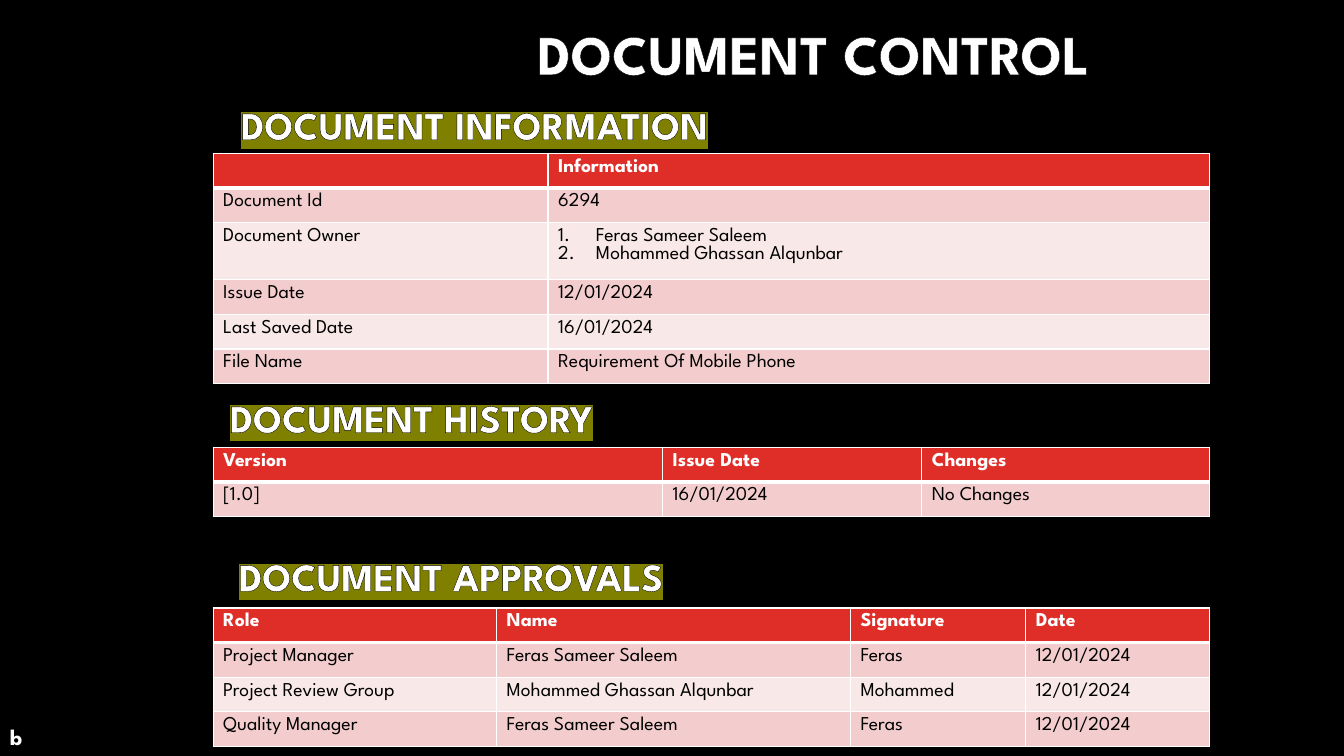
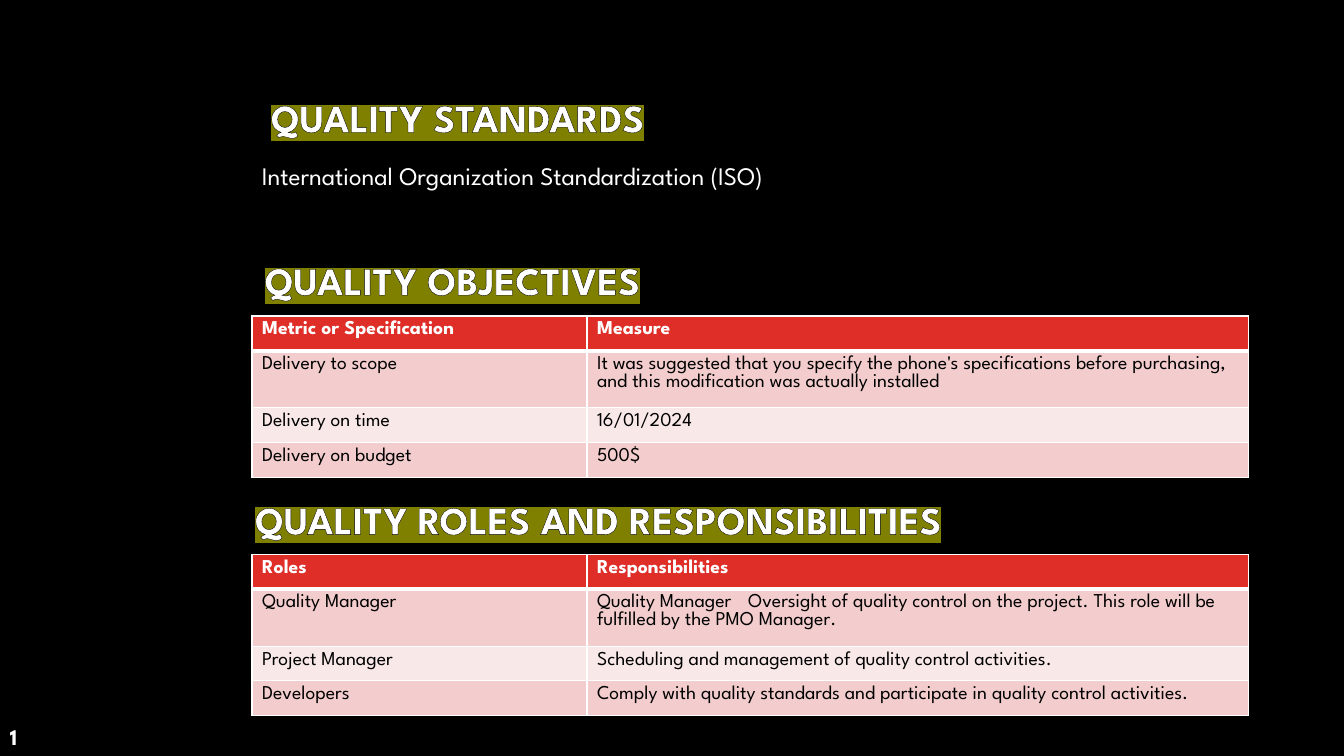
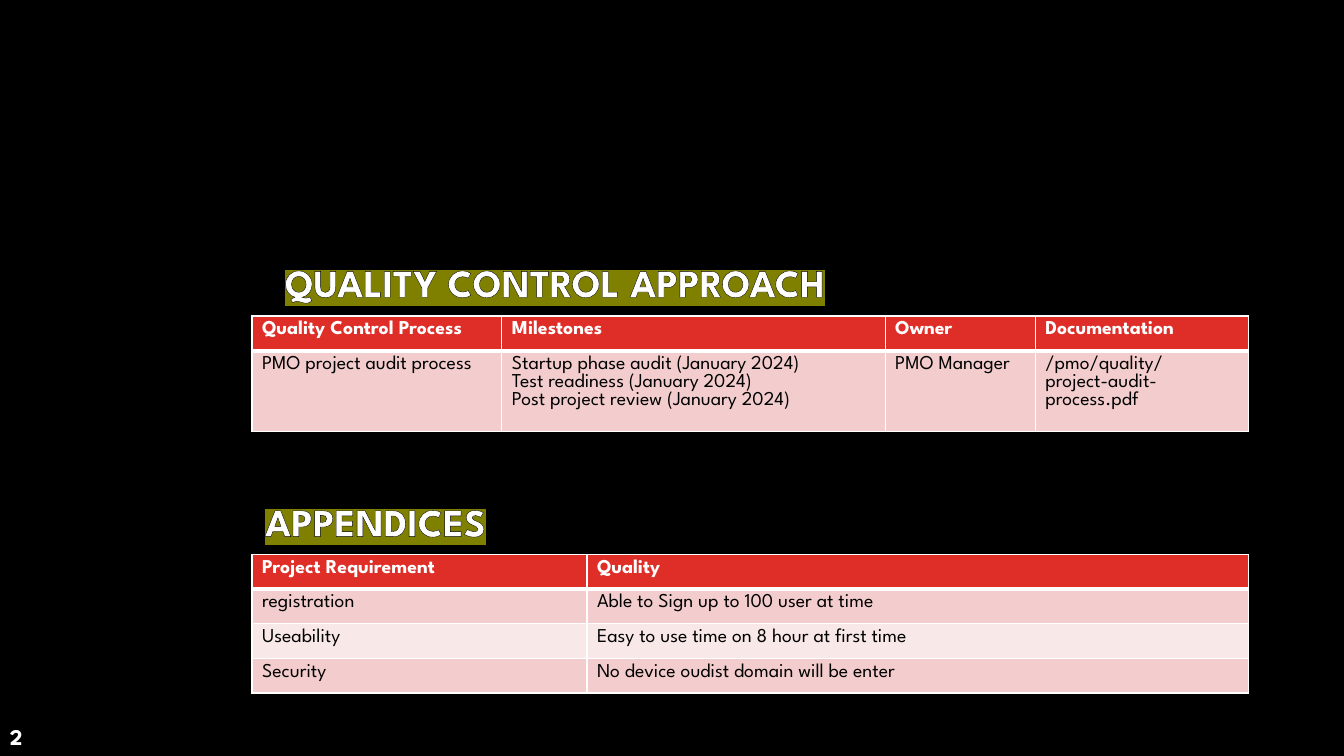
"""Build three document control and quality plan slides."""
import lxml.etree
import pptx
import pptx.dml.color
import pptx.enum.text
import pptx.oxml.ns
import pptx.util

PX = 9525
FONT = "League Spartan"
BLACK = pptx.dml.color.RGBColor(0x00, 0x00, 0x00)
WHITE = pptx.dml.color.RGBColor(0xFF, 0xFF, 0xFF)
OLIVE = pptx.dml.color.RGBColor(0x80, 0x80, 0x00)
RED = pptx.dml.color.RGBColor(0xDF, 0x2E, 0x28)
BANDS = [
    pptx.dml.color.RGBColor(0xF9, 0xE8, 0xE8),
    pptx.dml.color.RGBColor(0xF3, 0xCD, 0xCD),
]
ALIGN = pptx.enum.text.PP_ALIGN
ANCHOR = pptx.enum.text.MSO_ANCHOR
qn = pptx.oxml.ns.qn

HEADING_H = 84
ROW_H = 33
LIST_INDENT = 36
TWO_COLS = [319, 630]

SLIDES = [
    {
        "number": "b",
        "title": ("DOCUMENT CONTROL", 59, 12, 988),
        "headings": [
            ("DOCUMENT INFORMATION", 172, 79, 512),
            ("DOCUMENT HISTORY", 188, 358, 386),
            ("DOCUMENT APPROVALS", 184, 509, 457),
        ],
        "tables": [
            {"at": (203, 146), "cols": TWO_COLS, "tall": {2: 44}, "numbered": (2, 1), "rows": [
                ("", "Information"),
                ("Document Id", "6294"),
                ("Document Owner", "Feras Sameer Saleem\nMohammed Ghassan Alqunbar"),
                ("Issue Date", "12/01/2024"),
                ("Last Saved Date", "16/01/2024"),
                ("File Name", "Requirement Of Mobile Phone"),
            ]},
            {"at": (203, 426), "cols": [428, 247, 274], "rows": [
                ("Version", "Issue Date", "Changes"),
                ("[1.0]", "16/01/2024", "No Changes"),
            ]},
            {"at": (203, 579), "cols": [270, 337, 167, 175], "rows": [
                ("Role", "Name", "Signature", "Date"),
                ("Project Manager", "Feras Sameer Saleem", "Feras", "12/01/2024"),
                ("Project Review Group", "Mohammed Ghassan Alqunbar", "Mohammed", "12/01/2024"),
                ("Quality Manager", "Feras Sameer Saleem", "Feras", "12/01/2024"),
            ]},
        ],
    },
    {
        "number": "1",
        "headings": [
            ("QUALITY STANDARDS", 111, 72, 512),
            ("QUALITY OBJECTIVES", 107, 227, 512),
            ("QUALITY ROLES AND RESPONSIBILITIES", 192, 455, 714),
        ],
        "body": ("International Organization Standardization (ISO)", 240, 148, 786),
        "tables": [
            {"at": (240, 301), "cols": TWO_COLS, "tall": {1: 54}, "rows": [
                ("Metric or Specification", "Measure"),
                ("Delivery to scope", "It was suggested that you specify the phone's specifications before "
                 "purchasing, and this modification was actually installed"),
                ("Delivery on time", "16/01/2024"),
                ("Delivery on budget", "500$"),
            ]},
            {"at": (240, 528), "cols": TWO_COLS, "tall": {1: 54}, "rows": [
                ("Roles", "Responsibilities"),
                ("Quality Manager", "Quality Manager\tOversight of quality control on the project. "
                 "This role will be fulfilled by the PMO Manager."),
                ("Project Manager", "Scheduling and management of quality control activities."),
                ("Developers", "Comply with quality standards and participate in quality control activities."),
            ]},
        ],
    },
    {
        "number": "2",
        "headings": [
            ("QUALITY CONTROL APPROACH", 100, 229, 695),
            ("APPENDICES", 100, 457, 372),
        ],
        "tables": [
            {"at": (240, 301), "cols": [238, 365, 143, 203], "tall": {1: 62}, "rows": [
                ("Quality Control Process", "Milestones", "Owner", "Documentation"),
                ("PMO project audit process",
                 "Startup phase audit (January 2024)\nTest readiness (January 2024)\n"
                 "Post project review (January 2024)",
                 "PMO Manager", "/pmo/quality/\nproject-audit-process.pdf"),
            ]},
            {"at": (240, 528), "cols": TWO_COLS, "rows": [
                ("Project Requirement", "Quality"),
                ("registration", "Able to Sign up to 100 user at time"),
                ("Useability", "Easy to use time on 8 hour at first time"),
                ("Security", "No device oudist domain will be enter"),
            ]},
        ],
    },
]


def add_color(parent, color):
    lxml.etree.SubElement(parent, qn("a:srgbClr"), val=str(color))


def write(tf, text, size, color, bold=False):
    tf.text = text
    for p in tf.paragraphs:
        if not p.runs:
            end = lxml.etree.SubElement(p._p, qn("a:endParaRPr"), sz=str(size * 100))
            lxml.etree.SubElement(end, qn("a:latin"), typeface=FONT)
        for r in p.runs:
            r.font.name = FONT
            r.font.size = pptx.util.Pt(size)
            r.font.bold = bold
            r.font.color.rgb = color


def add_text(slide, text, left, top, width, height, size, bold=False, anchor=ANCHOR.MIDDLE):
    sp = slide.shapes.add_textbox(left * PX, top * PX, width * PX, height * PX)
    tf = sp.text_frame
    tf.word_wrap = True
    tf.vertical_anchor = anchor
    write(tf, text, size, WHITE, bold)
    return tf.paragraphs[0]


def add_heading(slide, text, left, top, width, size=28, highlight=OLIVE):
    p = add_text(slide, text, left, top, width, HEADING_H, size, bold=True)
    p.alignment = ALIGN.RIGHT
    p.line_spacing = 0.9
    rPr = p.runs[0]._r.get_or_add_rPr()
    if highlight is not None:
        mark = lxml.etree.Element(qn("a:highlight"))
        add_color(mark, highlight)
        rPr.find(qn("a:solidFill")).addnext(mark)
    ln = lxml.etree.Element(qn("a:ln"), w="9525")
    add_color(lxml.etree.SubElement(ln, qn("a:solidFill")), BLACK)
    rPr.insert(0, ln)


def set_borders(cell, row):
    tcPr = cell._tc.get_or_add_tcPr()
    widths = {"lnL": 1, "lnR": 1, "lnT": 3 if row == 1 else 1, "lnB": 3 if row == 0 else 1}
    for i, (side, width) in enumerate(widths.items()):
        ln = lxml.etree.Element(qn("a:" + side), w=str(pptx.util.Pt(width)))
        add_color(lxml.etree.SubElement(ln, qn("a:solidFill")), WHITE)
        tcPr.insert(i, ln)


def number_paragraphs(tf):
    for p in tf.paragraphs:
        pPr = p._p.get_or_add_pPr()
        pPr.set("marL", str(LIST_INDENT * PX))
        pPr.set("indent", str(-LIST_INDENT * PX))
        lxml.etree.SubElement(pPr, qn("a:buAutoNum"), type="arabicPeriod")


def add_table(slide, spec_table):
    rows, cols = spec_table["rows"], spec_table["cols"]
    tall = spec_table.get("tall", {})
    heights = [tall.get(i, ROW_H) for i in range(len(rows))]
    left, top = spec_table["at"]
    table = slide.shapes.add_table(
        len(rows), len(cols), left * PX, top * PX, sum(cols) * PX, sum(heights) * PX).table
    table.horz_banding = False
    for column, width in zip(table.columns, cols):
        column.width = width * PX
    for i, texts in enumerate(rows):
        table.rows[i].height = heights[i] * PX
        for j, text in enumerate(texts):
            cell = table.cell(i, j)
            header = i == 0
            write(cell.text_frame, text, 14, WHITE if header else BLACK, header)
            cell.fill.solid()
            cell.fill.fore_color.rgb = RED if header else BANDS[i % 2]
            set_borders(cell, i)
            if spec_table.get("numbered") == (i, j):
                number_paragraphs(cell.text_frame)


def main():
    prs = pptx.Presentation()
    prs.slide_width, prs.slide_height = 1280 * PX, 720 * PX
    fill = prs.slide_master.background.fill
    fill.solid()
    fill.fore_color.rgb = BLACK
    for content in SLIDES:
        slide = prs.slides.add_slide(prs.slide_layouts[6])
        if "title" in content:
            add_heading(slide, *content["title"], size=40, highlight=None)
        for heading in content["headings"]:
            add_heading(slide, *heading)
        if "body" in content:
            add_text(slide, *content["body"], 38, 18, anchor=ANCHOR.TOP)
        for table in content["tables"]:
            add_table(slide, table)
        add_text(slide, content["number"], 0, 682, 81, 38, 16, bold=True)
    prs.save("out.pptx")


if __name__ == "__main__":
    main()
